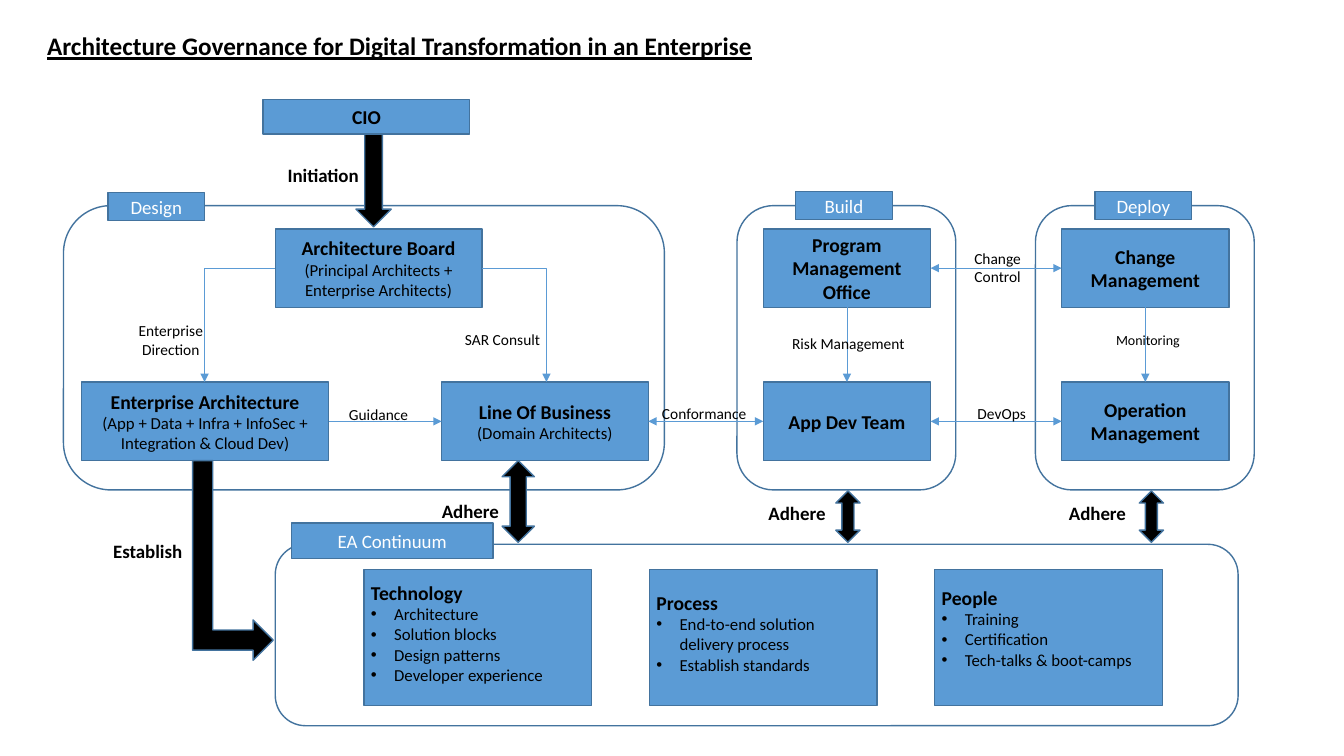
from lxml import etree
from pptx import Presentation
from pptx.dml.color import RGBColor
from pptx.enum.shapes import MSO_CONNECTOR, MSO_SHAPE
from pptx.enum.text import MSO_ANCHOR, MSO_AUTO_SIZE, PP_ALIGN
from pptx.oxml.ns import qn
from pptx.util import Inches, Pt

RECT, ROUND = MSO_SHAPE.RECTANGLE, MSO_SHAPE.ROUNDED_RECTANGLE
DOWN, UP_DOWN = MSO_SHAPE.DOWN_ARROW, MSO_SHAPE.UP_DOWN_ARROW
BENT = MSO_SHAPE.BENT_UP_ARROW
STRAIGHT, ELBOW = MSO_CONNECTOR.STRAIGHT, MSO_CONNECTOR.ELBOW
LEFT, CENTER, MIDDLE = PP_ALIGN.LEFT, PP_ALIGN.CENTER, MSO_ANCHOR.MIDDLE
NO_FIT = MSO_AUTO_SIZE.NONE
COLORS = {"box": "5B9BD5", "edge": "43739E", "black": "000000", "white": "FFFFFF"}

prs = Presentation()
prs.slide_width, prs.slide_height = Inches(13.33), Inches(7.5)
s = prs.slides.add_slide(prs.slide_layouts[5])


def rgb(name):
    return RGBColor.from_string(COLORS[name])


def write(sp, text, size=14, bold=True, color="black", align=CENTER,
          rest_size=12, rest_bold=False, bullets=False, underline=None, bottom=0.04):
    """Fill a shape: the first line is the heading, later lines are the rest."""
    tf = sp.text_frame
    tf.word_wrap, tf.auto_size, tf.vertical_anchor = True, NO_FIT, MIDDLE
    tf.margin_left = tf.margin_right = Inches(0.07)
    tf.margin_top, tf.margin_bottom = Inches(0.04), Inches(bottom)
    for i, line in enumerate(text.split("\n")):
        p = tf.paragraphs[0] if i == 0 else tf.add_paragraph()
        p.alignment = align
        r = p.add_run()
        r.text = line
        r.font.name, r.font.color.rgb = "Calibri", rgb(color)
        r.font.size = Pt(rest_size if i else size)
        r.font.bold = rest_bold if i else bold
        r.font.underline = underline
        if bullets and i:
            pPr = p._p.get_or_add_pPr()
            pPr.set("marL", str(Inches(0.23)))
            pPr.set("indent", str(-Inches(0.23)))
            etree.SubElement(pPr, qn("a:buFont")).set("typeface", "Arial")
            etree.SubElement(pPr, qn("a:buChar")).set("char", "•")


def add_box(kind, x, y, w, h, fill=None):
    sp = s.shapes.add_shape(kind, Inches(x), Inches(y), Inches(w), Inches(h))
    sp.shadow.inherit = False
    if fill:
        sp.fill.solid()
        sp.fill.fore_color.rgb = rgb(fill)
    else:
        sp.fill.background()
    sp.line.color.rgb, sp.line.width = rgb("edge"), Pt(1)
    return sp


# Title
title = s.shapes.title
title.left, title.top, title.width, title.height = map(Inches, (0.36, 0.2, 7.21, 0.51))
write(title, "Architecture Governance for Digital Transformation in an Enterprise",
      size=18, underline=True)

# Rounded frames: three stages and the continuum
for x, y, w, h in [(0.63, 2.04, 5.96, 2.82), (7.31, 2.04, 2.17, 2.82),
                   (10.27, 2.04, 2.17, 2.82), (2.73, 5.4, 9.55, 1.8)]:
    add_box(ROUND, x, y, w, h)

# Frame tabs
for text, x, y, w, h in [("Design", 1.07, 1.91, 0.96, 0.28), ("Build", 7.89, 1.9, 0.96, 0.28),
                         ("Deploy", 10.86, 1.9, 0.96, 0.28),
                         ("EA Continuum", 2.89, 5.19, 2, 0.35)]:
    write(add_box(RECT, x, y, w, h, "box"), text, size=13.5, bold=False, color="white")

# Roles
TOP, LOW, ROLE_H = 2.27, 3.79, 0.78
for text, x, y, w, h in [
        ("CIO", 2.61, 0.99, 2.05, 0.34),
        ("Architecture Board\n(Principal Architects + Enterprise Architects)",
         2.73, TOP, 2.05, ROLE_H),
        ("Enterprise Architecture\n(App + Data + Infra + InfoSec + Integration & Cloud Dev)",
         0.81, LOW, 2.45, ROLE_H),
        ("Line Of Business\n(Domain Architects)", 4.38, LOW, 2.05, ROLE_H),
        ("Program Management Office", 7.57, TOP, 1.66, ROLE_H),
        ("App Dev Team", 7.57, LOW, 1.66, ROLE_H),
        ("Change Management", 10.53, TOP, 1.66, ROLE_H),
        ("Operation Management", 10.53, LOW, 1.66, ROLE_H)]:
    write(add_box(RECT, x, y, w, h, "box"), text)

# Continuum cards
cards = [("Technology\nArchitecture\nSolution blocks\nDesign patterns\nDeveloper experience", 0.14),
         ("Process\nEnd-to-end solution delivery process\nEstablish standards", 0.14),
         ("People\nTraining\nCertification\nTech-talks & boot-camps", 0.24)]
for i, (text, bottom) in enumerate(cards):
    card = add_box(RECT, 3.61 + 2.83 * i, 5.65, 2.26, 1.35, "box")
    write(card, text, align=LEFT, bullets=True, bottom=bottom)

# Thin connectors: start, end, arrowhead at both ends
TOP_MID, LOW_MID, TOP_END = TOP + ROLE_H / 2, LOW + ROLE_H / 2, TOP + ROLE_H
for kind, x1, y1, x2, y2, both in [
        (ELBOW, 2.73, TOP_MID, 2.03, LOW, False),
        (ELBOW, 4.78, TOP_MID, 5.42, LOW, False),
        (STRAIGHT, 3.26, LOW_MID, 4.38, LOW_MID, False),
        (STRAIGHT, 6.43, LOW_MID, 7.57, LOW_MID, True),
        (STRAIGHT, 9.23, TOP_MID, 10.53, TOP_MID, True),
        (STRAIGHT, 9.23, LOW_MID, 10.53, LOW_MID, True),
        (STRAIGHT, 8.4, TOP_END, 8.4, LOW, False),
        (STRAIGHT, 11.36, TOP_END, 11.36, LOW, False)]:
    c = s.shapes.add_connector(kind, Inches(x1), Inches(y1), Inches(x2), Inches(y2))
    c.line.color.rgb, c.line.width = rgb("box"), Pt(0.5)
    spPr = c._element.spPr
    if kind == ELBOW:
        spPr.find(qn("a:prstGeom")).set("prst", "bentConnector2")
    for end in ["headEnd", "tailEnd"] if both else ["tailEnd"]:
        etree.SubElement(spPr.find(qn("a:ln")), qn("a:" + end)).set("type", "triangle")
    etree.SubElement(spPr, qn("a:effectLst"))

# Thick black arrows
for kind, x, y, w, h, turn in [(DOWN, 3.53, 1.33, 0.35, 0.92, 0),
                               (BENT, 1.32, 5.16, 1.98, 0.8, 90),
                               (UP_DOWN, 4.98, 4.57, 0.32, 0.81, 0),
                               (UP_DOWN, 8.29, 4.87, 0.24, 0.51, 0),
                               (UP_DOWN, 11.3, 4.87, 0.24, 0.51, 0)]:
    add_box(kind, x, y, w, h, "black").rotation = turn

# Arrow labels
for text, x, y, size, bold in [
        ("Initiation", 2.52, 1.6, 13.5, True),
        ("Establish", 0.78, 5.33, 13.5, True),
        ("Adhere", 3.98, 4.93, 13.5, True),
        ("Adhere", 7.22, 4.95, 13.5, True),
        ("Adhere", 10.2, 4.95, 13.5, True),
        ("Enterprise\nDirection", 1.01, 3.23, 11, False),
        ("SAR Consult", 4.3, 3.23, 11, False),
        ("Guidance", 3.07, 3.97, 11, False),
        ("Conformance", 6.3, 3.96, 11, False),
        ("Risk Management", 7.73, 3.27, 11, False),
        ("Change\nControl", 9.21, 2.51, 11, False),
        ("DevOps", 9.25, 3.96, 11, False),
        ("Monitoring", 10.7, 3.23, 10, False)]:
    label = s.shapes.add_textbox(Inches(x), Inches(y), Inches(1.37), Inches(0.28))
    write(label, text, size=size, bold=bold, rest_size=size)

prs.save("out.pptx")
